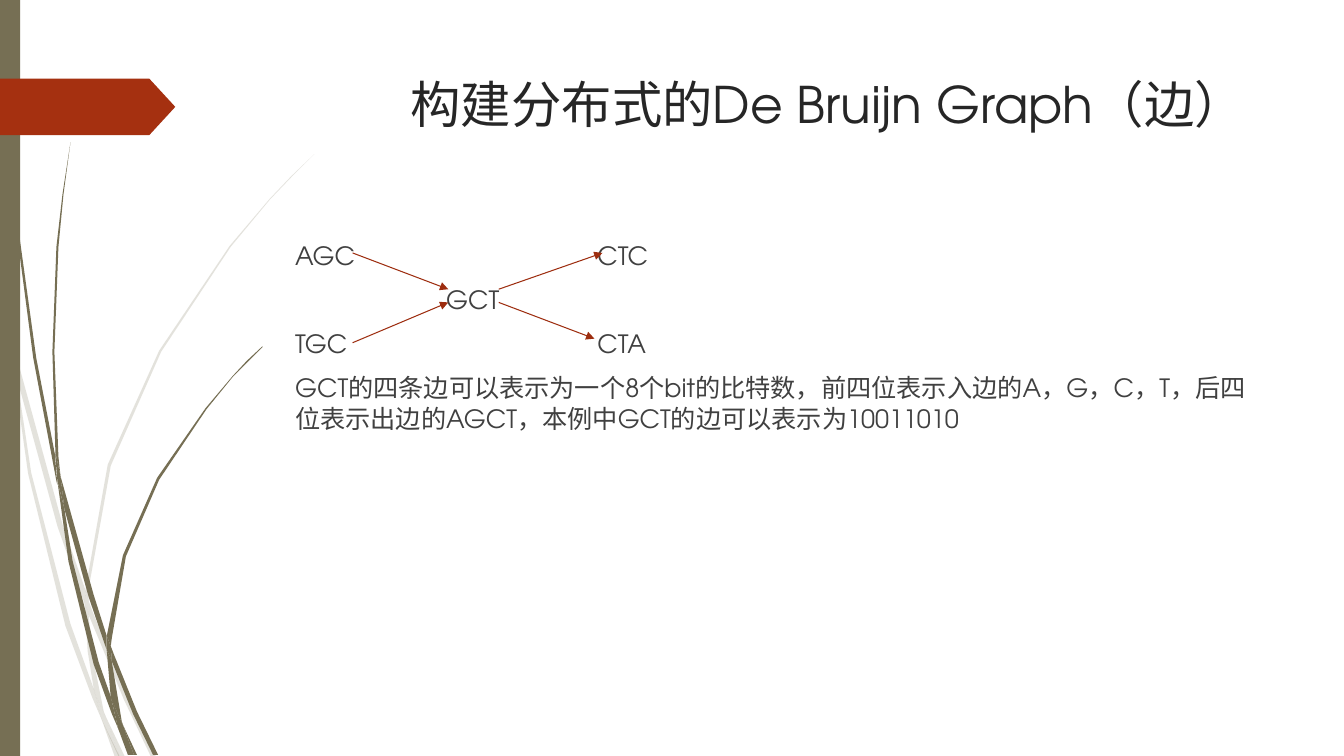
import pptx
import pptx.dml.color
import pptx.enum.shapes
import pptx.enum.text
import pptx.oxml
import pptx.oxml.ns
import pptx.util

Pt = pptx.util.Pt
KIND = pptx.enum.shapes.MSO_SHAPE
ALIGN = pptx.enum.text.PP_ALIGN

FONT = "TeX Gyre Adventor"
OLIVE, RED, RUST = "766F54", "A53010", "9D2D0F"

TITLE = ["\t\t构建分布式的De Bruijn Graph（边）"]
BODY = [
    "AGC \t\t\t\t\tCTC",
    "\t\t\tGCT",
    "TGC\t\t\t\t\tCTA",
    "GCT的四条边可以表示为一个8个bit的比特数，前四位表示入边的A，G，C，T，"
    "后四位表示出边的AGCT，本例中GCT的边可以表示为10011010",
]
EDGES = [
    ((356.4, 216), (424.8, 241.9)),
    ((252, 180.7), (320.4, 206.6)),
    ((252, 244.8), (320.4, 216)),
    ((356.4, 206.6), (430.6, 180.7)),
]
GRID = 0.72
PALE = [
    [(11, 350), (8, 322), (0, 282), (0, 299), (10, 344)],
    [(57, 522), (84, 599), (85, 586), (62, 520), (14, 345), (17, 376)],
    [(92, 607), (88, 596), (88, 610), (123, 694), (150, 751), (155, 751),
     (127, 692)],
    [(119, 751), (124, 751), (105, 711)],
    [(93, 683), (70, 619), (31, 469), (17, 376), (11, 350), (28, 470),
     (65, 621), (92, 693), (101, 714), (99, 707)],
    [(84, 599), (87, 646), (93, 683), (96, 692), (105, 711), (103, 706),
     (91, 646), (88, 610), (88, 608)],
    [(88, 584), (110, 462), (160, 349), (229, 245), (268, 198), (290, 175),
     (312, 153), (289, 175), (268, 197), (228, 244), (158, 348), (107, 461),
     (85, 584), (85, 586), (88, 596)],
    [(101, 714), (114, 751), (119, 751)],
    [(88, 608), (88, 610), (88, 596), (85, 586), (84, 599)],
    [(96, 692), (93, 683), (99, 707), (101, 714), (118, 751), (119, 751),
     (105, 711)],
]
DARK = [
    [(7, 110), (17, 233), (33, 355), (56, 477), (57, 481), (55, 457),
     (55, 453), (36, 355), (19, 232), (8, 109), (5, 48), (3, 0), (3, 48)],
    [(88, 592), (106, 645), (106, 633), (106, 631), (93, 590), (60, 472),
     (64, 505)],
    [(113, 649), (110, 641), (111, 656), (132, 708), (152, 749), (157, 749),
     (136, 706)],
    [(110, 691), (98, 657), (72, 556), (64, 505), (57, 477), (68, 557),
     (93, 659), (111, 708), (117, 722), (116, 717)],
    [(60, 472), (58, 453), (54, 349), (58, 245), (63, 193), (70, 141),
     (62, 193), (56, 245), (52, 349), (55, 449)],
    [(133, 749), (136, 749), (122, 719)],
    [(57, 477), (64, 505), (60, 472), (55, 449), (55, 453)],
    [(111, 633), (125, 552), (158, 476), (205, 406), (231, 374), (246, 359),
     (261, 344), (260, 344), (245, 358), (231, 373), (204, 405), (156, 474),
     (122, 551), (106, 631), (110, 641)],
    [(117, 722), (127, 749), (131, 749)],
    [(106, 645), (110, 692), (116, 706), (122, 719), (121, 716), (111, 656),
     (109, 651)],
    [(106, 645), (109, 651), (111, 656), (110, 641), (106, 631), (106, 633)],
    [(116, 706), (110, 691), (116, 717), (117, 722), (130, 749), (133, 749),
     (122, 719)],
]

deck = pptx.Presentation()
deck.slide_width, deck.slide_height = Pt(960.5), Pt(540)
slide = deck.slides.add_slide(deck.slide_layouts[6])
shapes = slide.shapes


def tint(code):
    return pptx.dml.color.RGBColor.from_string(code)


def node(tag, **attrs):
    item = pptx.oxml.parse_xml(f"<a:{tag} {pptx.oxml.ns.nsdecls('a')}/>")
    for key, value in attrs.items():
        item.set(key, str(value))
    return item


def paint(shape, code, alpha=100):
    shape.shadow.inherit = False
    shape.fill.solid()
    shape.fill.fore_color.rgb = tint(code)
    if alpha < 100:
        color = shape._element.spPr.find(".//" + pptx.oxml.ns.qn("a:srgbClr"))
        color.append(node("alpha", val=alpha * 1000))
    shape.line.fill.background()


def block(kind, box, code):
    shape = shapes.add_shape(kind, *map(Pt, box))
    paint(shape, code)
    return shape


def blade(rim, alpha):
    pen = shapes.build_freeform(*rim[0], scale=Pt(GRID))
    pen.add_line_segments(rim[1:], close=True)
    paint(pen.convert_to_shape(), OLIVE, alpha)


def write(lines, box, size, color, align=ALIGN.LEFT, gap=0, stops=0):
    frame = shapes.add_textbox(*map(Pt, box)).text_frame
    frame.word_wrap = True
    for i, line in enumerate(lines):
        para = frame.paragraphs[0] if i == 0 else frame.add_paragraph()
        para.alignment = align
        if i:
            para.space_before = Pt(gap)
        if stops:
            tabs = node("tabLst")
            for stop in range(stops):
                tabs.append(node("tab", pos=Pt(36 * stop), algn="l"))
            para._p.get_or_add_pPr().append(tabs)
        run = para.add_run()
        run.text = line
        run.font.name = FONT
        run.font.size = Pt(size)
        run.font.color.rgb = tint(color)


def arrow(start, end):
    line = shapes.add_connector(
        pptx.enum.shapes.MSO_CONNECTOR.STRAIGHT, *map(Pt, start + end))
    line.line.color.rgb = tint(RUST)
    line.line.width = Pt(0.75)
    line.line._get_or_add_ln().append(node("tailEnd", type="triangle"))
    line._element.spPr.append(node("effectLst"))


for rims, alpha in ((PALE, 20), (DARK, 100)):
    for rim in rims:
        blade(rim, alpha)
block(KIND.RECTANGLE, (0, 0, 14.4, 540), OLIVE)
block(KIND.PENTAGON, (0, 56.2, 125.3, 40.3), RED).adjustments[0] = 0.46
write(TITLE, (204.5, 49, 702, 100.8), 36, "262626", align=ALIGN.CENTER)
write(BODY, (203.8, 167.8, 702, 297.4), 18, "404040", gap=10, stops=8)
for start, end in EDGES:
    arrow(start, end)
deck.save("out.pptx")
